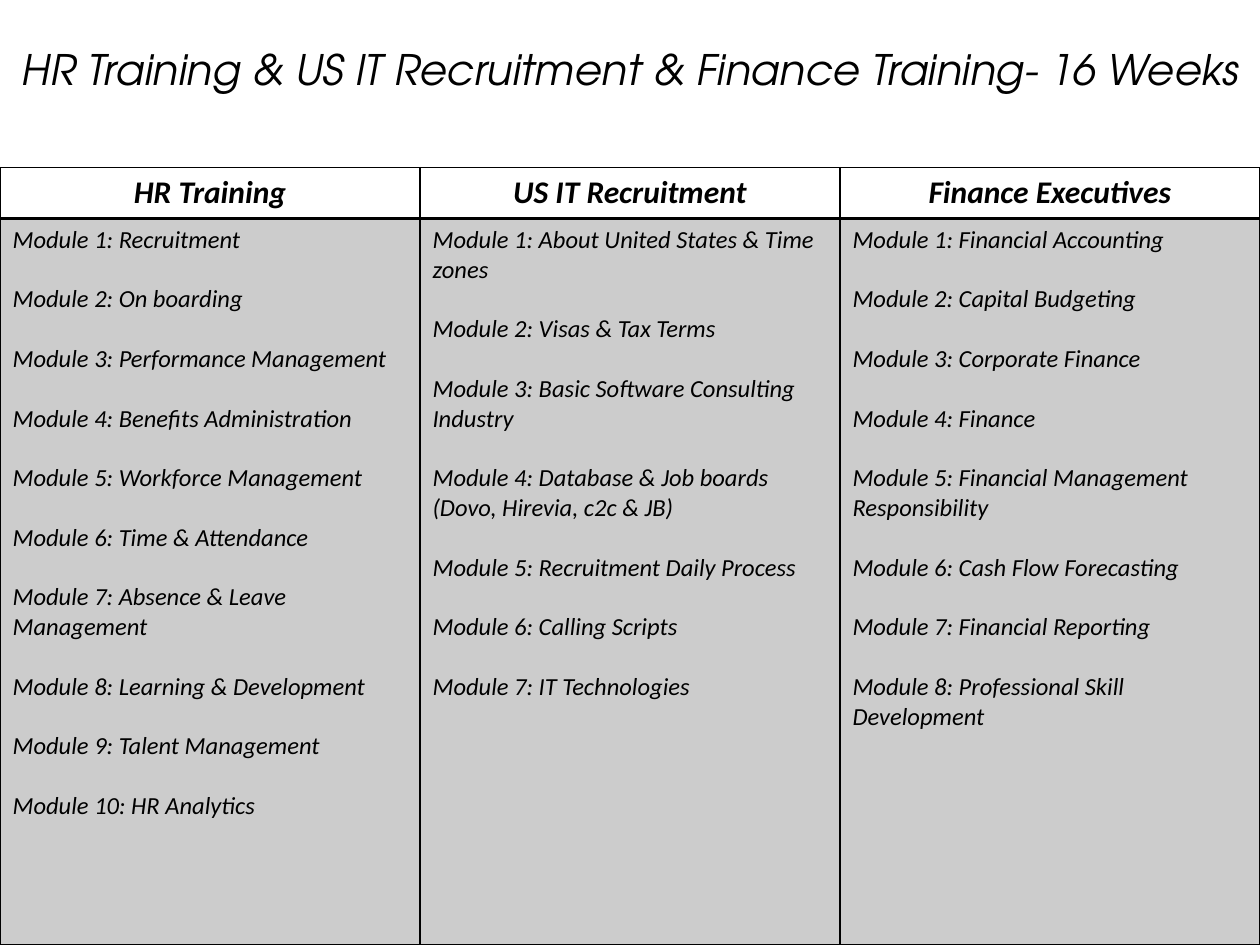
from lxml.etree import SubElement
from pptx import Presentation
from pptx.dml.color import RGBColor
from pptx.enum.text import MSO_ANCHOR, PP_ALIGN
from pptx.oxml.ns import qn
from pptx.util import Pt

TITLE = "HR Training & US IT Recruitment & Finance Training- 16 Weeks"
COURSES = {
    "HR Training": [
        "Recruitment",
        "On boarding",
        "Performance Management",
        "Benefits Administration",
        "Workforce Management",
        "Time & Attendance",
        "Absence & Leave Management",
        "Learning & Development",
        "Talent Management",
        "HR Analytics",
    ],
    "US IT Recruitment": [
        "About United States & Time zones",
        "Visas & Tax Terms",
        "Basic Software Consulting Industry",
        "Database & Job boards (Dovo, Hirevia, c2c & JB)",
        "Recruitment Daily Process",
        "Calling Scripts",
        "IT Technologies",
    ],
    "Finance Executives": [
        "Financial Accounting",
        "Capital Budgeting",
        "Corporate Finance",
        "Finance",
        "Financial Management Responsibility",
        "Cash Flow Forecasting",
        "Financial Reporting",
        "Professional Skill Development",
    ],
}

BLACK = RGBColor(0, 0, 0)
WIDTH, HEIGHT = 720, 540
TITLE_HEIGHT = 78.5
TABLE_TOP = 95.8
HEADER_HEIGHT = 29.2
MODULE_GAP = 17


def format_text(p, font, size, bold=False):
    for r in p.runs:
        r.font.name = font
        r.font.size = Pt(size)
        r.font.bold = bold
        r.font.italic = True
        r.font.color.rgb = BLACK


def set_borders(cell, top, bottom):
    """Draw black cell borders; the sides are 1 pt. Call before filling."""
    tcPr = cell._tc.get_or_add_tcPr()
    for tag, width in (("lnL", 1), ("lnR", 1), ("lnT", top), ("lnB", bottom)):
        ln = SubElement(tcPr, qn(f"a:{tag}"), w=str(Pt(width)))
        fill = SubElement(ln, qn("a:solidFill"))
        SubElement(fill, qn("a:srgbClr"), val=str(BLACK))


def fill_translucent(cell, percent):
    cell.fill.solid()
    cell.fill.fore_color.rgb = BLACK
    color = cell._tc.tcPr.find(qn("a:solidFill")).find(qn("a:srgbClr"))
    SubElement(color, qn("a:alpha"), val=str(percent * 1000))


def add_title(s):
    title = s.shapes.title
    title.left, title.top = Pt(0), Pt(0)
    title.width, title.height = Pt(WIDTH), Pt(TITLE_HEIGHT)
    tf = title.text_frame
    tf.text = TITLE
    tf.word_wrap = True
    tf.vertical_anchor = MSO_ANCHOR.MIDDLE
    p = tf.paragraphs[0]
    p.alignment = PP_ALIGN.CENTER
    format_text(p, "TeX Gyre Adventor", 24)


def add_course_table(s):
    height = HEIGHT - TABLE_TOP
    table = s.shapes.add_table(2, len(COURSES), Pt(0), Pt(TABLE_TOP),
                               Pt(WIDTH), Pt(height)).table
    table.horz_banding = False
    table.rows[0].height = Pt(HEADER_HEIGHT)
    table.rows[1].height = Pt(height - HEADER_HEIGHT)

    for col, (course, modules) in enumerate(COURSES.items()):
        header, body = table.cell(0, col), table.cell(1, col)

        set_borders(header, top=1, bottom=2)
        header.fill.background()
        header.text_frame.text = course
        p = header.text_frame.paragraphs[0]
        p.alignment = PP_ALIGN.CENTER
        format_text(p, "Calibri", 18, bold=True)

        set_borders(body, top=2, bottom=1)
        fill_translucent(body, 20)
        body.text_frame.text = "\n".join(
            f"Module {n}: {name}" for n, name in enumerate(modules, 1))
        for p in body.text_frame.paragraphs:
            p.space_after = Pt(MODULE_GAP)
            format_text(p, "Calibri", 14)


def main():
    prs = Presentation()
    prs.slide_width, prs.slide_height = Pt(WIDTH), Pt(HEIGHT)
    s = prs.slides.add_slide(prs.slide_layouts[5])
    add_title(s)
    add_course_table(s)
    prs.save("out.pptx")


if __name__ == "__main__":
    main()
